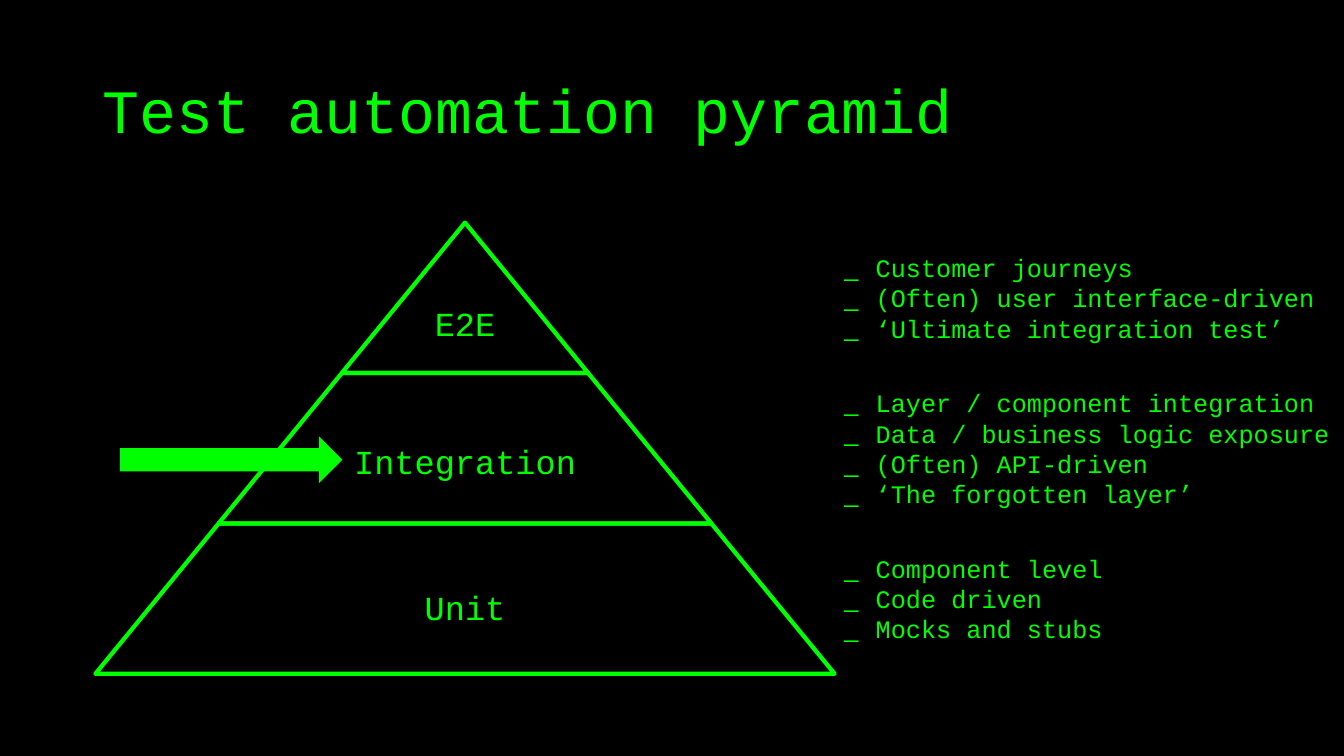
from dataclasses import dataclass

from lxml.etree import SubElement
from pptx import Presentation
from pptx.dml.color import RGBColor
from pptx.enum.shapes import MSO_SHAPE
from pptx.enum.text import MSO_ANCHOR, MSO_AUTO_SIZE, PP_ALIGN
from pptx.oxml.ns import qn
from pptx.util import Cm, Pt


@dataclass(frozen=True)
class Theme:
    """Colours, fonts and type sizes of the slide."""
    background: RGBColor = RGBColor(0, 0, 0)
    green: RGBColor = RGBColor(0, 255, 0)
    font: str = "Courier New"
    bullet_font: str = "Arial"
    title: int = 44
    tier: int = 24
    note: int = 18
    outline: int = 3


class Deck:
    """Draws elements in one theme on the current slide."""

    def __init__(self, prs, theme):
        """Add a blank slide with the theme's background."""
        self.theme = theme
        self.s = prs.slides.add_slide(prs.slide_layouts[6])
        fill = self.s.background.fill
        fill.solid()
        fill.fore_color.rgb = theme.background

    def set_text(self, tf, text, size, align=PP_ALIGN.LEFT):
        """Fill a text frame and format its runs."""
        tf.text = text
        tf.word_wrap = True
        for p in tf.paragraphs:
            p.alignment = align
            for r in p.runs:
                r.font.name = self.theme.font
                r.font.size = Pt(size)
                r.font.color.rgb = self.theme.green

    def textbox(self, x, y, w, h, text, size):
        """Add a left-aligned text box and return its text frame."""
        tf = self.s.shapes.add_textbox(Cm(x), Cm(y), Cm(w), Cm(h)).text_frame
        self.set_text(tf, text, size)
        return tf

    def title(self, x, y, w, h, text):
        """Add the slide title."""
        tf = self.textbox(x, y, w, h, text, self.theme.title)
        tf.vertical_anchor = MSO_ANCHOR.MIDDLE
        tf.paragraphs[0].line_spacing = 0.9

    def shape(self, kind, x, y, w, h):
        """Add a preset shape without shadow."""
        sp = self.s.shapes.add_shape(kind, Cm(x), Cm(y), Cm(w), Cm(h))
        sp.shadow.inherit = False
        return sp

    def tier(self, x, y, w, h, slope, text):
        """Add one outlined, labelled pyramid tier."""
        sp = self.shape(MSO_SHAPE.TRAPEZOID, x, y, w, h)
        sp.adjustments[0] = slope
        sp.fill.background()
        sp.line.color.rgb = self.theme.green
        sp.line.width = Pt(self.theme.outline)
        tf = sp.text_frame
        tf.margin_left = tf.margin_right = 0
        tf.vertical_anchor = MSO_ANCHOR.MIDDLE
        self.set_text(tf, text, self.theme.tier, PP_ALIGN.CENTER)

    def notes(self, x, middle, w, lines):
        """Add a bulleted list centred on a height."""
        h = 0.76 * len(lines) + 0.26
        tf = self.textbox(x, middle - h / 2, w, h, "\n".join(lines), self.theme.note)
        tf.auto_size = MSO_AUTO_SIZE.SHAPE_TO_FIT_TEXT
        indent = Cm(0.79)
        for p in tf.paragraphs:
            pPr = p._p.get_or_add_pPr()
            pPr.set("marL", str(indent))
            pPr.set("indent", str(-indent))
            SubElement(pPr, qn("a:buFont")).set("typeface", self.theme.bullet_font)
            SubElement(pPr, qn("a:buChar")).set("char", "_")

    def arrow(self, x, y, w, h):
        """Add a solid block arrow pointing right."""
        sp = self.shape(MSO_SHAPE.RIGHT_ARROW, x, y, w, h)
        sp.fill.solid()
        sp.fill.fore_color.rgb = self.theme.green
        sp.line.fill.background()


TIERS = [
    ("E2E", ["Customer journeys", "(Often) user interface-driven",
             "‘Ultimate integration test’"]),
    ("Integration", ["Layer / component integration", "Data / business logic exposure",
                     "(Often) API-driven", "‘The forgotten layer’"]),
    ("Unit", ["Component level", "Code driven", "Mocks and stubs"]),
]


def main():
    """Build the test automation pyramid slide."""
    prs = Presentation()
    prs.slide_width, prs.slide_height = Cm(33.87), Cm(19.05)
    deck = Deck(prs, Theme())
    deck.title(2.34, 1.02, 31.22, 3.68, "Test automation pyramid")

    centre, apex, tier_h, tier_w = 11.72, 5.61, 3.79, 6.21
    for i, (label, lines) in enumerate(TIERS):
        top, width = apex + i * tier_h, (i + 1) * tier_w
        deck.tier(centre - width / 2, top, width, tier_h, 0.82, label)
        deck.notes(21.03, top + tier_h / 2, 12.83, lines)

    deck.arrow(3.02, 11, 5.61, 1.17)
    prs.save("out.pptx")


if __name__ == "__main__":
    main()
